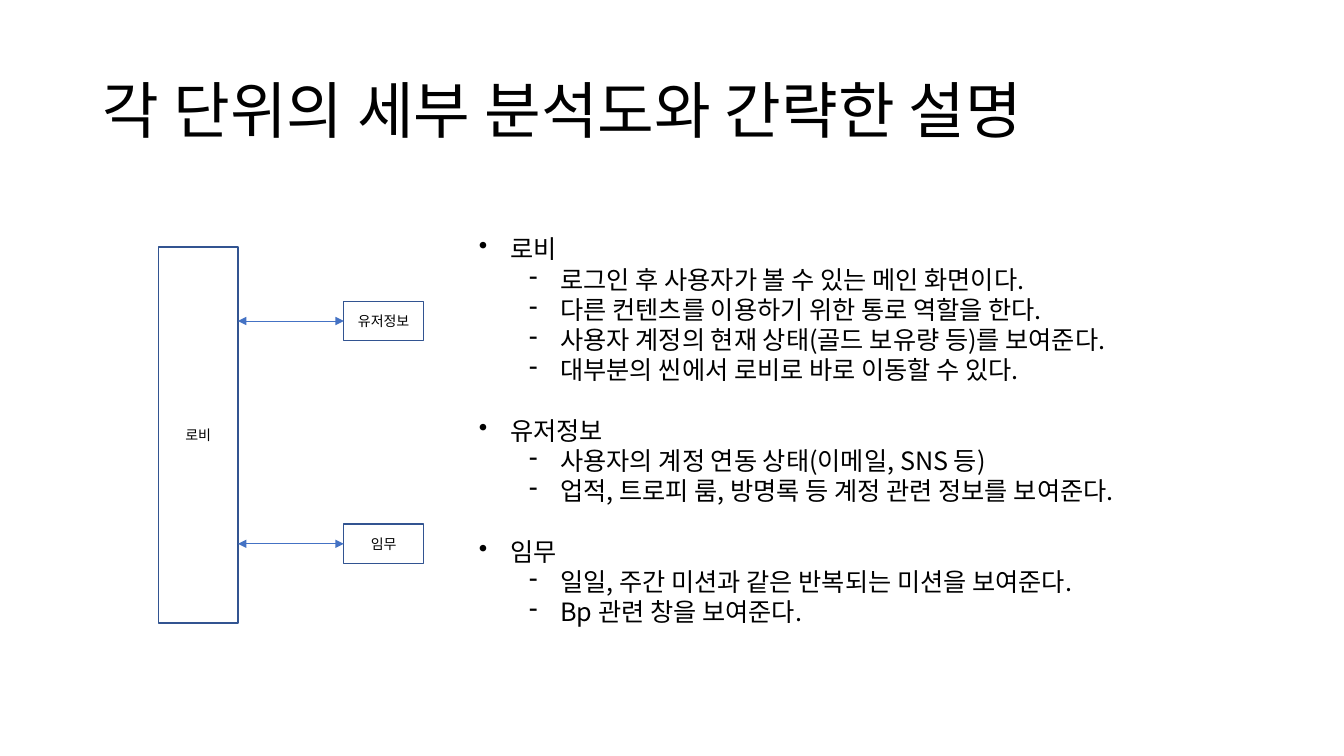
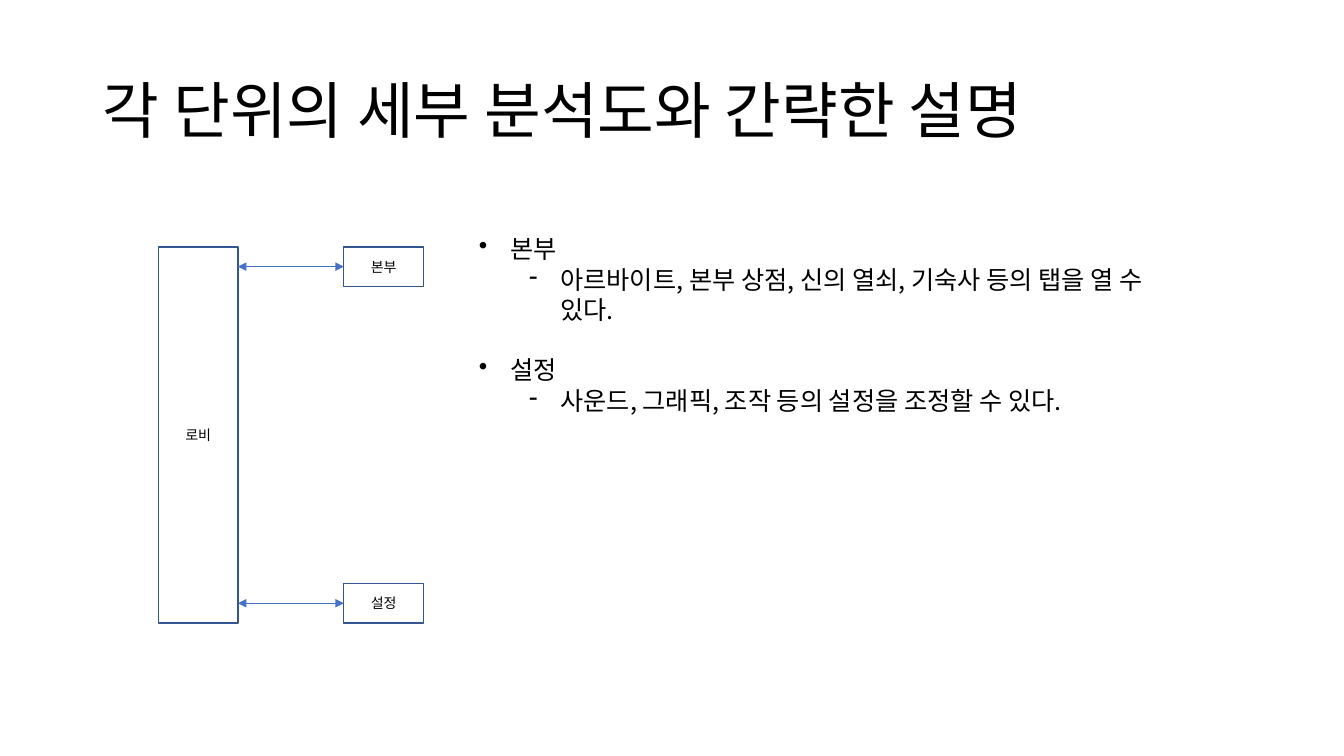
from lxml import etree
from pptx import Presentation
from pptx.dml.color import RGBColor
from pptx.enum.shapes import MSO_CONNECTOR, MSO_SHAPE
from pptx.enum.text import MSO_ANCHOR, MSO_AUTO_SIZE, PP_ALIGN
from pptx.oxml.ns import qn
from pptx.util import Inches, Pt

FONT = "Noto Sans CJK KR"
BLACK, WHITE, OUTLINE, ARROW = "000000", "FFFFFF", "325491", "4472C4"
TITLE = "각 단위의 세부 분석도와 간략한 설명"
TITLE_BOX = (0.92, 0.4, 11.5, 1.45)
DIAGRAM_BOX = (1.57, 2.45, 2.63, 3.73)
NODE_WIDTH, NODE_HEIGHT = 0.79, 0.39
LINE_PITCH = Pt(21.6)

PAGES = [
    {
        "nodes": [("유저정보", 0.54), ("임무", 2.75)],
        "notes_box": (4.65, 2.27, 7.25, 4.04),
        "topics": {
            "로비": [
                "로그인 후 사용자가 볼 수 있는 메인 화면이다.",
                "다른 컨텐츠를 이용하기 위한 통로 역할을 한다.",
                "사용자 계정의 현재 상태(골드 보유량 등)를 보여준다.",
                "대부분의 씬에서 로비로 바로 이동할 수 있다.",
            ],
            "유저정보": [
                "사용자의 계정 연동 상태(이메일, SNS 등)",
                "업적, 트로피 룸, 방명록 등 계정 관련 정보를 보여준다.",
            ],
            "임무": [
                "일일, 주간 미션과 같은 반복되는 미션을 보여준다.",
                "Bp 관련 창을 보여준다.",
            ],
        },
    },
    {
        "nodes": [("본부", 0), ("설정", DIAGRAM_BOX[3] - NODE_HEIGHT)],
        "notes_box": (4.65, 2.27, 7.25, 1.92),
        "topics": {
            "본부": ["아르바이트, 본부 상점, 신의 열쇠, 기숙사 등의 탭을 열 수 있다."],
            "설정": ["사운드, 그래픽, 조작 등의 설정을 조정할 수 있다."],
        },
    },
]


def color(value):
    """Turn a hex string into a colour."""
    return RGBColor.from_string(value)


def inches(*values):
    """Turn plain numbers into lengths."""
    return [Inches(value) for value in values]


def write(para, text, size, align=PP_ALIGN.LEFT, spacing=None):
    """Put formatted text into a paragraph."""
    para.alignment = align
    para.line_spacing = spacing
    span = para.add_run()
    span.text = text
    span.font.size = Pt(size)
    span.font.name = FONT
    span.font.color.rgb = color(BLACK)
    east_asian = etree.Element(qn("a:ea"), typeface=FONT)
    span.font._element.find(qn("a:latin")).addnext(east_asian)


def add_bullet(para, mark, indent, hanging=0.31):
    """Give a paragraph a bullet and a hanging indent."""
    properties = para._p.get_or_add_pPr()
    properties.set("marL", str(Inches(indent)))
    properties.set("indent", str(-Inches(hanging)))
    etree.SubElement(properties, qn("a:buChar"), char=mark)


def add_title(page, box):
    """Place and format the title."""
    title = page.shapes.title
    title.left, title.top, title.width, title.height = inches(*box)
    title.text_frame.vertical_anchor = MSO_ANCHOR.MIDDLE
    write(title.text_frame.paragraphs[0], TITLE, 44, spacing=0.9)


def add_node(page, text, box):
    """Draw a labelled, outlined rectangle."""
    node = page.shapes.add_shape(MSO_SHAPE.RECTANGLE, *inches(*box))
    node.shadow.inherit = False
    node.fill.solid()
    node.fill.fore_color.rgb = color(WHITE)
    node.line.color.rgb = color(OUTLINE)
    node.line.width = Pt(1)
    node.text_frame.vertical_anchor = MSO_ANCHOR.MIDDLE
    write(node.text_frame.paragraphs[0], text, 10, align=PP_ALIGN.CENTER)


def add_arrow(page, left, right, height):
    """Draw a level arrow with a head at each end."""
    arrow = page.shapes.add_connector(
        MSO_CONNECTOR.STRAIGHT, *inches(left, height, right, height)
    )
    arrow.line.color.rgb = color(ARROW)
    arrow.line.width = Pt(0.5)
    for end in ("a:headEnd", "a:tailEnd"):
        etree.SubElement(arrow.line._get_or_add_ln(), qn(end), type="triangle")
    etree.SubElement(arrow._element.spPr, qn("a:effectLst"))


def add_diagram(page, box, nodes):
    """Draw the lobby bar and the nodes linked to it."""
    left, top, width, height = box
    node_left = left + width - NODE_WIDTH
    add_node(page, "로비", (left, top, NODE_WIDTH, height))
    for text, offset in nodes:
        node_top = top + offset
        add_node(page, text, (node_left, node_top, NODE_WIDTH, NODE_HEIGHT))
        add_arrow(page, left + NODE_WIDTH, node_left, node_top + NODE_HEIGHT / 2)


def add_notes(page, box, topics):
    """List each topic with its details below it."""
    frame = page.shapes.add_textbox(*inches(*box)).text_frame
    frame.word_wrap = True
    frame.auto_size = MSO_AUTO_SIZE.SHAPE_TO_FIT_TEXT
    for index, (topic, details) in enumerate(topics.items()):
        para = frame.add_paragraph() if index else frame.paragraphs[0]
        write(para, topic, 18, spacing=LINE_PITCH)
        para.space_before = LINE_PITCH if index else 0
        add_bullet(para, "•", 0.31)
        for detail in details:
            para = frame.add_paragraph()
            para.level = 1
            write(para, detail, 18, spacing=LINE_PITCH)
            add_bullet(para, "-", 0.81)


def build():
    """Build and save the deck."""
    deck = Presentation()
    deck.slide_width, deck.slide_height = inches(13.33, 7.5)
    for content in PAGES:
        page = deck.slides.add_slide(deck.slide_layouts[5])
        add_title(page, TITLE_BOX)
        add_diagram(page, DIAGRAM_BOX, content["nodes"])
        add_notes(page, content["notes_box"], content["topics"])
    deck.save("out.pptx")


build()
